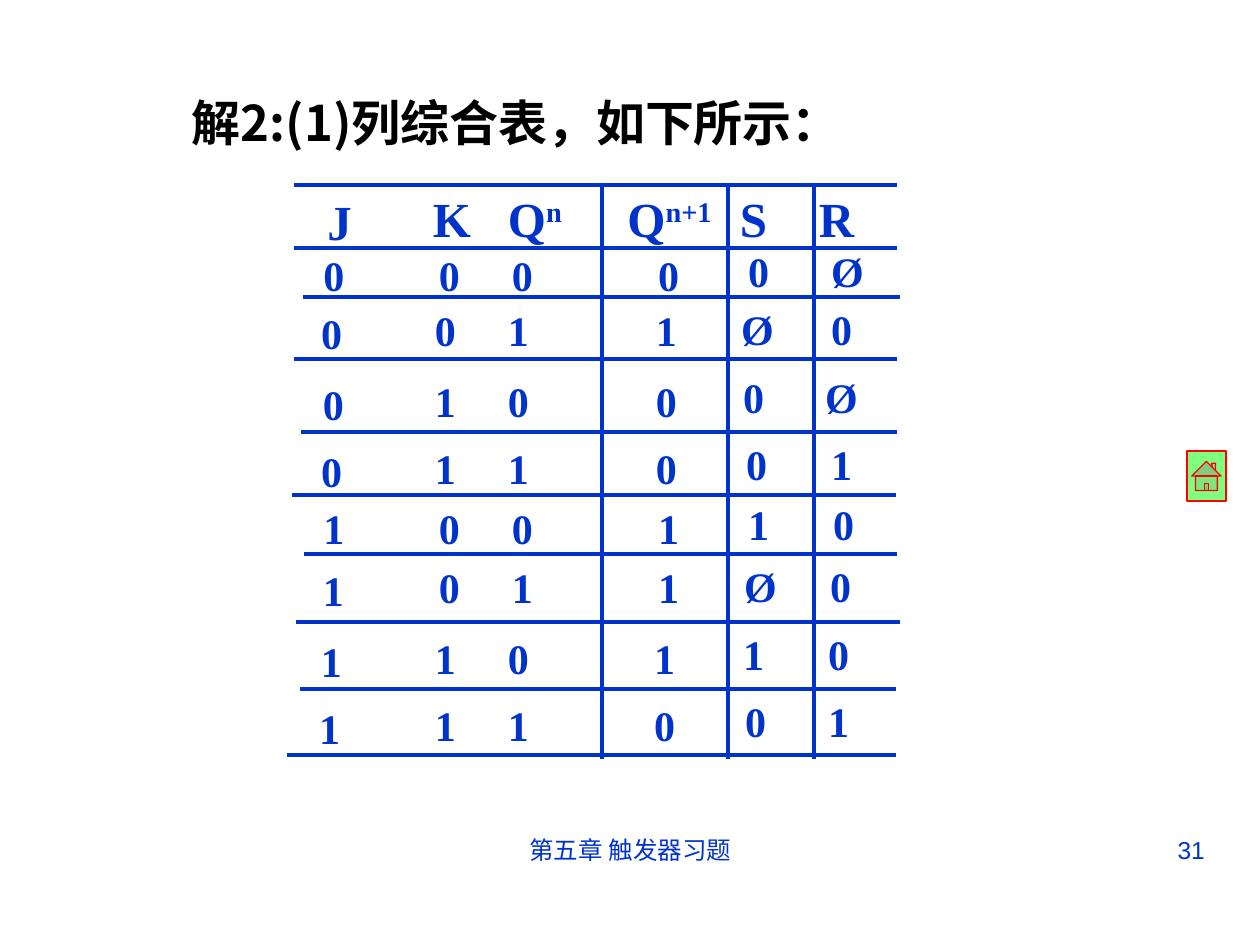
from lxml import etree
from pptx import Presentation
from pptx.dml.color import RGBColor
from pptx.enum.shapes import MSO_CONNECTOR, MSO_SHAPE
from pptx.enum.text import MSO_ANCHOR, MSO_AUTO_SIZE, PP_ALIGN
from pptx.oxml.ns import qn
from pptx.util import Pt

PX = 914400 / 126
BLUE = "0033CC"
SERIF, SANS, CJK = "Times New Roman", "Arial", "Noto Sans CJK SC"


def px(length):
    return round(length * PX)


def color(hex_code):
    return RGBColor.from_string(hex_code)


def set_all(target, values):
    for key, value in values.items():
        setattr(target, key, value)


def place(box, left, top, width, height):
    set_all(box, dict(left=px(left), top=px(top), width=px(width), height=px(height)))


def write(box, text, size, font, hex_code=BLUE, bold=False, align=PP_ALIGN.LEFT,
          anchor=MSO_ANCHOR.TOP, insets=(13, 6, 13, 6), tab=None):
    """Fill a box; text after ^ is raised."""
    frame = box.text_frame
    sides = ("margin_left", "margin_top", "margin_right", "margin_bottom")
    set_all(frame, dict(zip(sides, map(px, insets))))
    set_all(frame, dict(word_wrap=True, auto_size=MSO_AUTO_SIZE.NONE, vertical_anchor=anchor))
    paragraph = frame.paragraphs[0]
    paragraph.alignment = align
    if tab:
        tabs = etree.SubElement(paragraph._p.get_or_add_pPr(), qn("a:tabLst"))
        etree.SubElement(tabs, qn("a:tab"), pos=str(px(tab)), algn="l")
    for position, part in enumerate(text.split("^")):
        run = paragraph.add_run()
        run.text = part
        set_all(run.font, dict(name=font, size=Pt(size), bold=bold))
        run.font.color.rgb = color(hex_code)
        properties = run._r.get_or_add_rPr()
        etree.SubElement(properties, qn("a:ea"), typeface=CJK)
        if position:
            properties.set("baseline", "30000")


def add_text(slide, box, text, size, font, **style):
    place_holder = slide.shapes.add_textbox(*map(px, box))
    write(place_holder, text, size, font, **style)


def add_rule(slide, x1, y1, x2, y2):
    rule = slide.shapes.add_connector(MSO_CONNECTOR.STRAIGHT, *map(px, (x1, y1, x2, y2)))
    rule.line.color.rgb = color(BLUE)
    rule.line.width = Pt(2.25)
    etree.SubElement(rule._element.spPr, qn("a:effectLst"))


# Each row: top, height, width of J, left of each column, values
COLUMNS = ("J", "KQ", "Qnext", "S", "R")
STATE_ROWS = [
    (0, 84, 94, (24, 110, 330, 444, 527), ("J", "K\tQ^n", "Q^n+1", "S", "R")),
    (61, 76, 116, (15, 99, 329, 446, 535), ("0", "0\t0", "0", "0", "Ø")),
    (113, 82, 97, (22, 95, 327, 445, 529), ("0", "0\t1", "1", "Ø", "0")),
    (187, 76, 101, (22, 95, 327, 441, 529), ("0", "1\t0", "0", "0", "Ø")),
    (254, 76, 97, (22, 95, 327, 444, 529), ("0", "1\t1", "0", "0", "1")),
    (314, 76, 116, (15, 99, 329, 446, 531), ("1", "0\t0", "1", "1", "0")),
    (370, 82, 97, (24, 99, 329, 448, 528), ("1", "0\t1", "1", "Ø", "0")),
    (444, 76, 101, (20, 95, 325, 441, 526), ("1", "1\t0", "1", "1", "0")),
    (511, 76, 97, (20, 95, 325, 443, 526), ("1", "1\t1", "0", "0", "1")),
]
# Each horizontal rule: y, left end, right end
ROW_RULES = [(9, 7, 610), (72, 7, 610), (121, 16, 613), (183, 7, 610), (256, 14, 610),
             (319, 5, 609), (378, 17, 610), (446, 9, 613), (513, 13, 609), (579, 0, 609)]
COLUMN_RULES = (315, 441, 527)


def add_state_table(slide, left, top):
    for y, start, end in ROW_RULES:
        add_rule(slide, left + start, top + y, left + end, top + y)
    for x in COLUMN_RULES:
        add_rule(slide, left + x, top + 9, left + x, top + 583)

    for index, (row_top, height, j_width, lefts, values) in enumerate(STATE_ROWS):
        header = index == 0
        for column, cell_left, value in zip(COLUMNS, lefts, values):
            cell_top, cell_height, width = row_top, height, 105
            inset_left = inset_right = 2
            align, tab = PP_ALIGN.CENTER, None
            if column == "J":
                width = j_width
                cell_top += 0 if j_width == 116 else 3
                inset_right += 37 if header else 52
            elif column == "KQ":
                width, align = 199, PP_ALIGN.LEFT
                inset_left, tab = (36, 75) if header else (53, 73)
            elif column in ("S", "R"):
                # These cells share the bottom edge of the row
                width, cell_height = 82, 84
                cell_top += height - cell_height
                inset_right += 37 if header else 31
            add_text(slide, (left + cell_left, top + cell_top, width, cell_height), value,
                     28 if header else 24, SERIF, bold=True, align=align, tab=tab,
                     anchor=MSO_ANCHOR.MIDDLE, insets=(inset_left, 2, inset_right, 2))


def add_heading(slide, box):
    heading = slide.shapes.title
    place(heading, *box)
    write(heading, "解2:(1)列综合表，如下所示：", 28, CJK, hex_code="000000", bold=True)


def add_home_button(slide, box):
    button = slide.shapes.add_shape(MSO_SHAPE.ACTION_BUTTON_HOME, *map(px, box))
    button.shadow.inherit = False
    button.fill.solid()
    button.fill.fore_color.rgb = color("00FF00")
    tint = button._element.spPr.find(qn("a:solidFill"))[0]
    etree.SubElement(tint, qn("a:alpha"), val="50000")
    button.line.color.rgb = color("FF0000")
    button.line.width = Pt(0.75)


def add_footer(slide, left, top):
    add_text(slide, (left, top, 399, 66), "第五章 触发器习题", 14, SANS, align=PP_ALIGN.CENTER)
    add_text(slide, (left + 472, top, 315, 66), "31", 14, SANS, align=PP_ALIGN.RIGHT)


def main():
    deck = Presentation()
    set_all(deck, dict(slide_width=px(1260), slide_height=px(945)))
    slide = deck.slides.add_slide(deck.slide_layouts[5])
    add_heading(slide, (179, 86, 800, 72))
    add_state_table(slide, 287, 176)
    add_home_button(slide, (1187, 451, 39, 50))
    add_footer(slide, 431, 829)
    deck.save("out.pptx")


if __name__ == "__main__":
    main()
